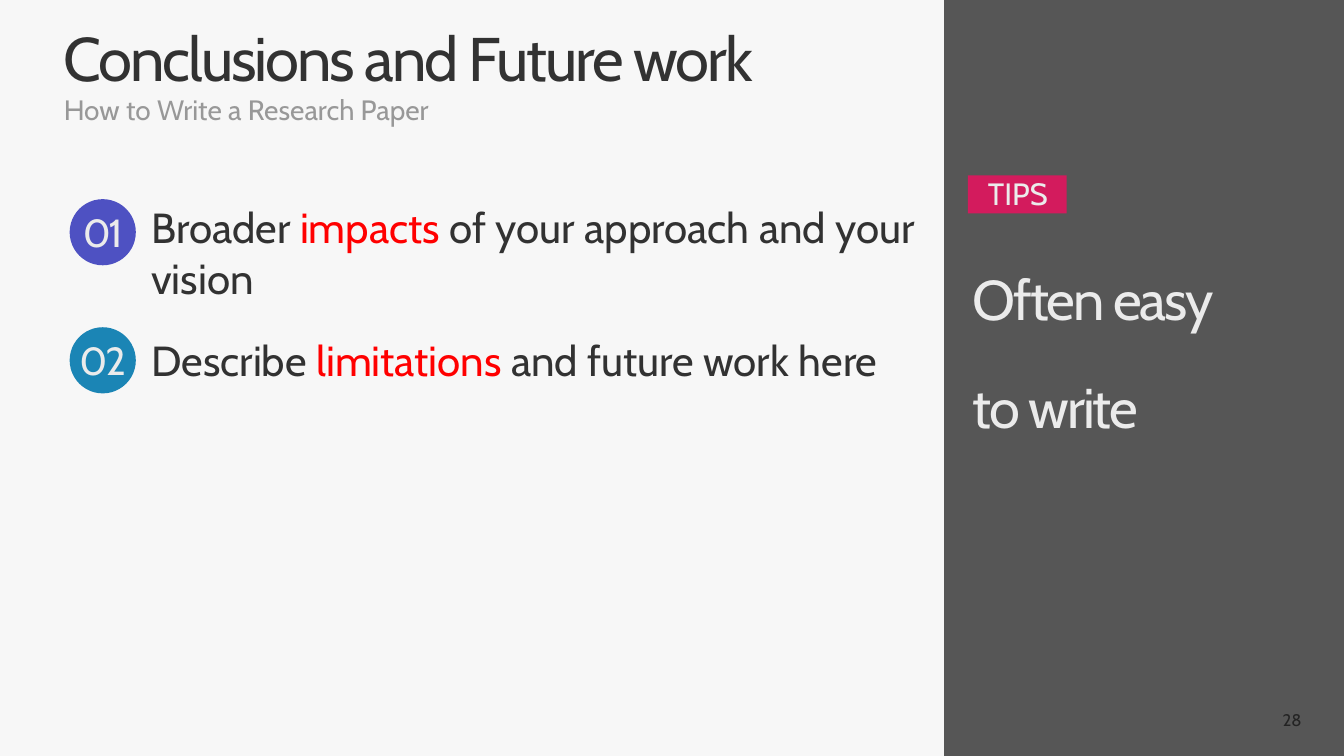
from pptx import Presentation
from pptx.dml.color import RGBColor
from pptx.enum.shapes import MSO_SHAPE as Shape
from pptx.enum.text import MSO_ANCHOR as Anchor, MSO_AUTO_SIZE as Fit, PP_ALIGN as Align
from pptx.oxml.ns import qn
from pptx.util import Pt
from lxml import etree

WIDE, HIGH = 1919.5, 1080
PAPER = RGBColor(0xF7, 0xF7, 0xF7)
INK = RGBColor(0x32, 0x32, 0x32)
GREY = RGBColor(0x98, 0x98, 0x98)
DIM = RGBColor(0x65, 0x65, 0x65)
LIGHT = RGBColor(0xEB, 0xEB, 0xEB)
RED = RGBColor(0xFF, 0, 0)
VIOLET = RGBColor(0x4E, 0x51, 0xC2)
BLUE = RGBColor(0x1B, 0x85, 0xB5)
PINK = RGBColor(0xD3, 0x1B, 0x5D)
BLACK = RGBColor(0, 0, 0)


class Deck:
    font = "Cabin"
    tight = -300  # letter spacing, hundredths of a point

    def __init__(self, slide):
        self.slide = slide

    def put(self, shape, lines, size, color, align=Align.LEFT,
            anchor=Anchor.TOP, lead=1.0, tight=False, wrap=True):
        """Fill a shape; each line is a list of (text, colour or None) runs."""
        frame = shape.text_frame
        frame.auto_size = Fit.NONE
        frame.word_wrap = wrap
        frame.vertical_anchor = anchor
        for i, line in enumerate(lines):
            para = frame.add_paragraph() if i else frame.paragraphs[0]
            para.alignment, para.line_spacing = align, lead
            para.space_before = Pt(0)
            font = para.font
            font.name, font.size, font.color.rgb = self.font, Pt(size), color
            for text, tint in line:
                run = para.add_run()
                run.text = text
                if tint is not None:
                    run.font.color.rgb = tint
                if tight:
                    run._r.get_or_add_rPr().set("spc", str(self.tight))

    def title(self, box, text, size, color):
        shape = self.slide.shapes.title
        shape.left, shape.top, shape.width, shape.height = map(Pt, box)
        self.put(shape, [[(text, None)]], size, color,
                 anchor=Anchor.BOTTOM, lead=0.9, tight=True)

    def text(self, box, lines, size, color, **style):
        shape = self.slide.shapes.add_textbox(*map(Pt, box))
        self.put(shape, lines, size, color, **style)

    def block(self, kind, box, fill, alpha=None):
        shape = self.slide.shapes.add_shape(kind, *map(Pt, box))
        shape.shadow.inherit = False
        shape.line.fill.background()
        shape.fill.solid()
        shape.fill.fore_color.rgb = fill
        if alpha:
            tone = shape._element.spPr.find(".//" + qn("a:srgbClr"))
            etree.SubElement(tone, qn("a:alpha")).set("val", str(alpha * 1000))
        return shape

    def label(self, kind, box, fill, text, size, pads=(0, 0, 0, 0), **style):
        shape = self.block(kind, box, fill)
        frame = shape.text_frame
        (frame.margin_left, frame.margin_top,
         frame.margin_right, frame.margin_bottom) = map(Pt, pads)
        self.put(shape, [[(text, None)]], size, LIGHT, align=Align.CENTER,
                 anchor=Anchor.MIDDLE, **style)


def main():
    prs = Presentation()
    prs.slide_width, prs.slide_height = Pt(WIDE), Pt(HIGH)
    slide = prs.slides.add_slide(prs.slide_layouts[5])
    slide.background.fill.solid()
    slide.background.fill.fore_color.rgb = PAPER
    deck = Deck(slide)

    deck.title((84, 32.5, 1753, 106.5), "Conclusions and Future work", 88, INK)
    deck.text((84, 134, 1753, 44), [[("How to Write a Research Paper", None)]],
              40, GREY, lead=0.9)

    points = [
        (VIOLET, 284.5, 284.5, 152.5, "Broader ", "impacts",
         " of your approach and your vision"),
        (BLUE, 467.5, 474.5, 80, "Describe ", "limitations",
         " and future work here"),
    ]
    for i, (fill, top, base, tall, start, key, rest) in enumerate(points, 1):
        deck.label(Shape.OVAL, (99.5, top, 94.5, 94.5), fill, f"{i:02}", 56,
                   tight=True, wrap=False)
        deck.text((209, base, 1107.5, tall),
                  [[(start, None), (key, RED), (rest, None)]], 60, INK)

    deck.text((1434, 1000, 432, 57.5), [[("28", None)]], 24, DIM,
              align=Align.RIGHT, anchor=Anchor.MIDDLE)
    deck.block(Shape.RECTANGLE, (1348.5, 0, WIDE - 1348.5, HIGH), BLACK, alpha=65)
    deck.text((1382.5, 317, 505, 397.5),
              [[("Often easy", None)], [("to write", None)]], 80, LIGHT,
              lead=1.6, tight=True)
    deck.label(Shape.RECTANGLE, (1382.5, 250.5, 141, 54.5), PINK, "TIPS", 44,
               pads=(8.5, 8.5, 7, 3.5), lead=0.8)
    prs.save("out.pptx")


if __name__ == "__main__":
    main()
